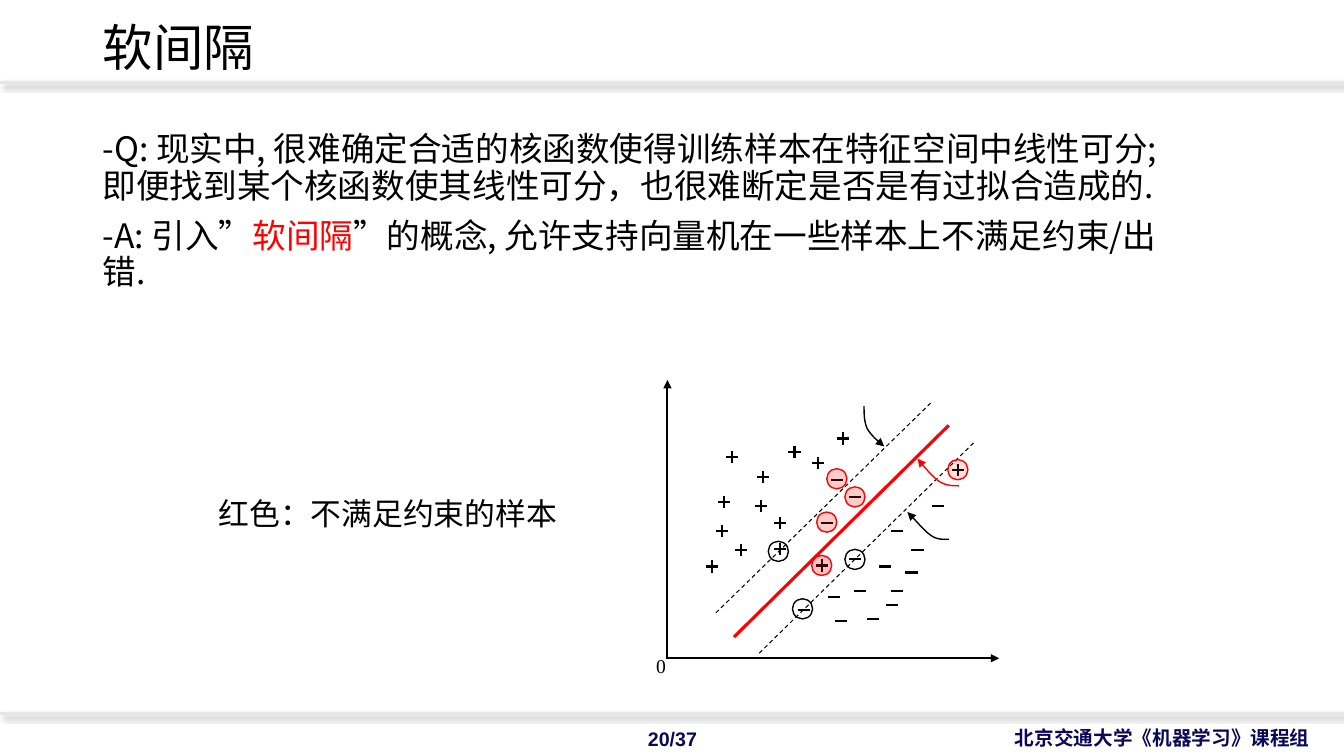
from lxml import etree
from pptx import Presentation
from pptx.dml.color import RGBColor
from pptx.enum.dml import MSO_LINE
from pptx.enum.shapes import MSO_CONNECTOR, MSO_SHAPE
from pptx.enum.text import MSO_ANCHOR, PP_ALIGN
from pptx.oxml.ns import qn
from pptx.util import Emu, Pt

SCALE = 9144  # 100 px to the inch
STRAIGHT = MSO_CONNECTOR.STRAIGHT
OVAL = MSO_SHAPE.OVAL
DASH = MSO_LINE.DASH
TOP, MIDDLE = MSO_ANCHOR.TOP, MSO_ANCHOR.MIDDLE
LEFT, CENTER, RIGHT = PP_ALIGN.LEFT, PP_ALIGN.CENTER, PP_ALIGN.RIGHT

BLACK, RED, NAVY, GREY = "000000", "FF0000", "0B0759", "E7E6E6"
SANS, ARIAL, TIMES = "Noto Sans CJK SC", "Arial", "Times New Roman"

PLUSES = [(788, 448), (774, 519), (755, 502), (716, 527), (735, 546),
          (774, 545), (726, 453), (836, 435), (811, 459), (706, 562),
          (757, 473), (718, 498), (815, 561), (950, 466)]
MINUSES = [(904, 568), (848, 555), (834, 616), (797, 605), (885, 600),
           (890, 586), (827, 592), (910, 546), (853, 586), (866, 614),
           (878, 562), (890, 527), (930, 502), (848, 493), (820, 519),
           (830, 476)]
SUPPORT = [(772, 547), (848, 555), (796, 604)]
ERRORS = [(950, 466, 13), (815, 561, 24), (848, 493, 20),
          (820, 518, 20), (830, 475, 20)]
CURVES = [
    (BLACK, [(857, 403), (857, 410), (857, 418), (860, 425),
             (864, 432), (870, 437), (877, 443)]),
    (BLACK, [(941, 535), (936, 535), (930, 536), (923, 531),
             (917, 527), (909, 517), (900, 508)]),
    (RED, [(951, 482), (945, 482), (939, 482), (932, 478),
           (925, 473), (918, 465), (910, 455)]),
]


def px(n):
    return Emu(round(n * SCALE))


def color(code):
    return RGBColor.from_string(code)


def bezier(pts, steps=8):
    """Points along a chain of cubic curves that share their ends."""
    path = [pts[0]]
    for i in range(0, len(pts) - 1, 3):
        for k in range(1, steps + 1):
            t = k / steps
            parts = ((1 - t) ** 3, 3 * t * (1 - t) ** 2,
                     3 * t * t * (1 - t), t ** 3)
            path.append(tuple(sum(w * p[axis] for w, p in zip(parts, pts[i:i + 4]))
                              for axis in (0, 1)))
    return path


class Deck:
    def __init__(self):
        self.prs = Presentation()
        self.prs.slide_width, self.prs.slide_height = px(1333), px(750)
        self.slide = self.prs.slides.add_slide(self.prs.slide_layouts[6])
        self.shapes = self.slide.shapes

    def text(self, box, paras, size, font=SANS, ink=BLACK, align=LEFT,
             anchor=TOP, bold=False, space=0.9, wrap=True):
        """Each paragraph is a list of (words, own colour or None)."""
        frame = self.shapes.add_textbox(*map(px, box)).text_frame
        frame.word_wrap = wrap
        frame.vertical_anchor = anchor
        for i, runs in enumerate(paras):
            para = frame.add_paragraph() if i else frame.paragraphs[0]
            para.alignment = align
            para.line_spacing = space
            para.space_before = Pt(10 if i else 0)
            style = para.font
            style.size, style.bold, style.name = Pt(size), bold, font
            style.color.rgb = color(ink)
            if font == SANS:
                etree.SubElement(style._rPr, qn("a:ea"), typeface=font)
            for words, own in runs:
                run = para.add_run()
                run.text = words
                if own:
                    run.font.color.rgb = color(own)

    def stroke(self, shape, ink, width, arrow=False):
        shape.line.color.rgb = color(ink)
        shape.line.width = Pt(width)
        if arrow:
            etree.SubElement(shape.line._get_or_add_ln(), qn("a:tailEnd"),
                             type="triangle")

    def line(self, x1, y1, x2, y2, ink=BLACK, width=1.5, dash=None,
             arrow=False, shadow=False):
        item = self.shapes.add_connector(STRAIGHT, *map(px, (x1, y1, x2, y2)))
        self.stroke(item, ink, width)
        if dash:
            item.line.dash_style = dash
        if arrow:
            self.stroke(item, ink, width, arrow=True)
        effects = etree.SubElement(item._element.spPr, qn("a:effectLst"))
        if shadow:
            shade = etree.SubElement(
                effects, qn("a:outerShdw"), blurRad=str(Pt(4)),
                dist=str(Pt(3)), dir=str(45 * 60000), algn="tl", rotWithShape="0")
            tone = etree.SubElement(shade, qn("a:srgbClr"), val=BLACK)
            etree.SubElement(tone, qn("a:alpha"), val="40000")

    def curve(self, ink, pts):
        path = [(px(x), px(y)) for x, y in bezier(pts)]
        pen = self.shapes.build_freeform(*path[0], scale=1.0)
        pen.add_line_segments(path[1:], close=False)
        item = pen.convert_to_shape()
        item.shadow.inherit = False
        item.fill.background()
        self.stroke(item, ink, 1, arrow=True)

    def ring(self, x, y, ink=BLACK, alpha=0):
        """A circle about a point; alpha is the fill's opacity in percent."""
        item = self.shapes.add_shape(OVAL, *map(px, (x - 10, y - 10, 20, 20)))
        item.shadow.inherit = False
        self.stroke(item, ink, 1)
        if alpha:
            item.fill.solid()
            item.fill.fore_color.rgb = color(ink)
            tone = item._element.spPr.find(qn("a:solidFill"))[0]
            etree.SubElement(tone, qn("a:alpha"), val=str(alpha * 1000))
        else:
            item.fill.background()

    def minus(self, x, y):
        self.line(x - 6, y, x + 6, y)

    def plus(self, x, y):
        self.minus(x, y)
        self.line(x, y - 6, x, y + 6)


def main():
    deck = Deck()
    for y in (82, 708):
        deck.line(0, y, 1333, y, GREY, 2, shadow=True)
    for box, words, align in (
            ((888, 715, 421, 34), "北京交通大学《机器学习》课程组", RIGHT),
            ((605, 716, 124, 34), "20/37", CENTER)):
        deck.text(box, [[(words, None)]], 14, ARIAL, NAVY, align, MIDDLE,
                  bold=True, space=1.0)

    deck.text((92, -23, 1150, 145), [[("软间隔", None)]], 36, anchor=MIDDLE)
    deck.text((92, 127, 1092, 526), [
        [("-Q: 现实中, 很难确定合适的核函数使得训练样本在特征空间中线性可分; "
          "即便找到某个核函数使其线性可分，也很难断定是否是有过拟合造成的.", None)],
        [("-A: 引入”", None), ("软间隔", RED),
         ("”的概念, 允许支持向量机在一些样本上不满足约束/出错.", None)],
    ], 24)
    deck.text((207, 490, 366, 82), [[("红色：不满足约束的样本", None)]], 22)

    deck.line(753, 648, 966, 439, width=0.75, dash=DASH)
    deck.line(710, 608, 924, 399, width=0.75, dash=DASH)
    deck.line(728, 632, 941, 422, RED, 2.25)
    for ink, pts in CURVES:
        deck.curve(ink, pts)
    deck.line(662, 653, 662, 377, arrow=True)
    deck.line(661, 653, 991, 653, arrow=True)
    deck.text((641, 644, 30, 34), [[("0", None)]], 14, TIMES, space=1.0,
              wrap=False)

    for spot in PLUSES:
        deck.plus(*spot)
    for spot in MINUSES:
        deck.minus(*spot)
    for spot in SUPPORT:
        deck.ring(*spot)
    for x, y, alpha in ERRORS:
        deck.ring(x, y, RED, alpha)
    deck.prs.save("out.pptx")


if __name__ == "__main__":
    main()
